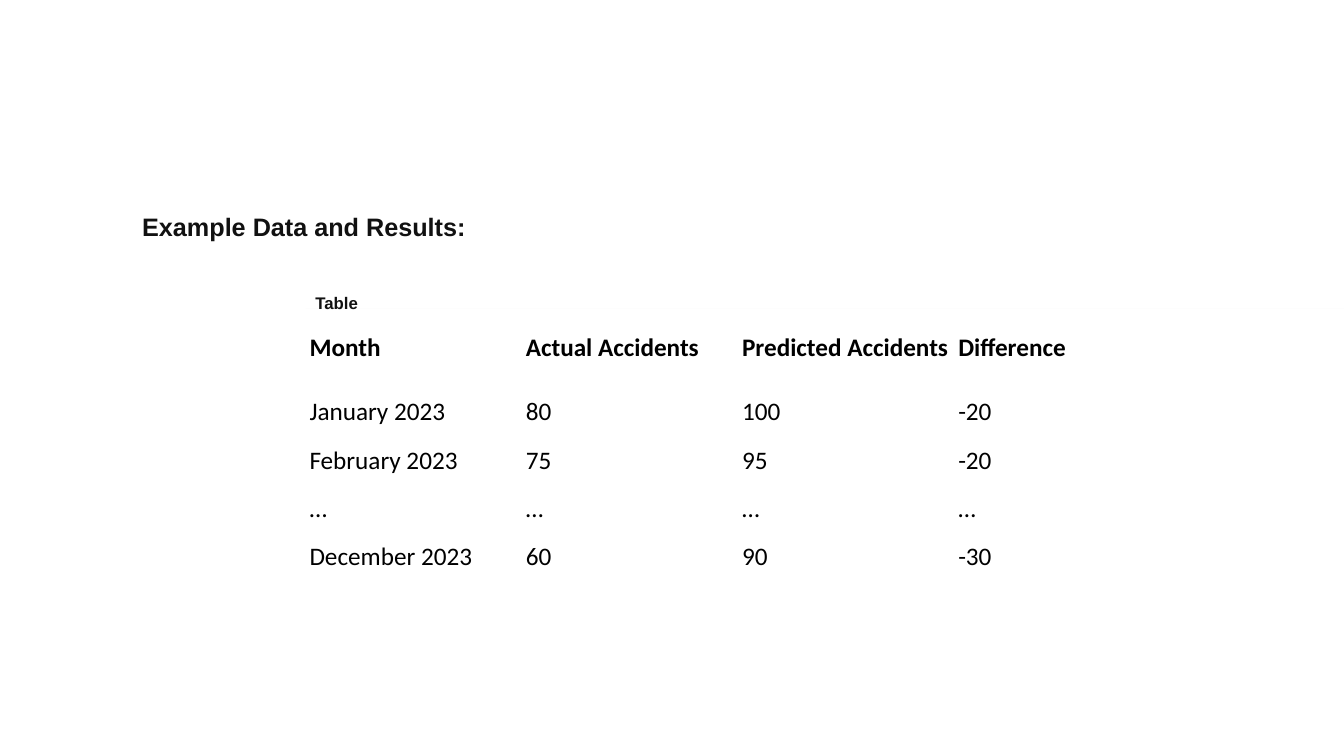
from dataclasses import dataclass

from pptx import Presentation
from pptx.dml.color import RGBColor
from pptx.enum.shapes import MSO_SHAPE
from pptx.enum.text import MSO_ANCHOR, MSO_AUTO_SIZE, PP_ALIGN
from pptx.util import Inches, Pt

MIDDLE, TOP, BOTTOM = MSO_ANCHOR.MIDDLE, MSO_ANCHOR.TOP, MSO_ANCHOR.BOTTOM
LEFT = PP_ALIGN.LEFT
NO_FIT = MSO_AUTO_SIZE.NONE
RECTANGLE = MSO_SHAPE.RECTANGLE
TITLE_ONLY = 5


@dataclass(frozen=True)
class Theme:
    """Colours, fonts and type sizes of the slide."""
    ink: str = "111111"
    table_ink: str = "000000"
    caption_fill: str = "F7F7F7"
    head_font: str = "Arial"
    body_font: str = "Calibri"
    size: int = 18
    caption_size: int = 12


THEME = Theme()
WIDTH, HEIGHT = Inches(13.33), Inches(7.5)
TABLE_LEFT, TABLE_TOP = Inches(3.03), Inches(3.06)
TABLE_WIDTH = Inches(8.58)
HEADER_HEIGHT, ROW_HEIGHT = Inches(0.79), Inches(0.48)
CELL_PAD_X, CELL_PAD_Y = Inches(0.04), Inches(0.08)

ROWS = [
    ("Month", "Actual Accidents", "Predicted Accidents", "Difference"),
    ("January 2023", "80", "100", "-20"),
    ("February 2023", "75", "95", "-20"),
    ("…", "…", "…", "…"),
    ("December 2023", "60", "90", "-30"),
]


def write(tf, text, *, font=THEME.head_font, size=THEME.size,
          color=THEME.ink, bold=True):
    """Put one formatted, left-aligned line into a text frame."""
    p = tf.paragraphs[0]
    p.alignment = LEFT
    r = p.add_run()
    r.text = text
    r.font.name = font
    r.font.size = Pt(size)
    r.font.bold = bold
    r.font.color.rgb = RGBColor.from_string(color)


def set_frame(tf, anchor):
    """Make a text frame keep its size and its single line."""
    tf.word_wrap = False
    tf.auto_size = NO_FIT
    tf.vertical_anchor = anchor


def add_title(s, text):
    """Place and fill the title placeholder."""
    sp = s.shapes.title
    sp.left, sp.top = Inches(1.31), Inches(2.05)
    sp.width, sp.height = Inches(3.44), Inches(0.4)
    set_frame(sp.text_frame, TOP)
    write(sp.text_frame, text)


def add_caption(s, text):
    """Add a flat bar on the table's top edge with the caption above it."""
    sp = s.shapes.add_shape(RECTANGLE, TABLE_LEFT, TABLE_TOP, WIDTH, 0)
    sp.shadow.inherit = False
    sp.fill.solid()
    sp.fill.fore_color.rgb = RGBColor.from_string(THEME.caption_fill)
    sp.line.fill.background()
    set_frame(sp.text_frame, BOTTOM)
    write(sp.text_frame, text, size=THEME.caption_size)


def add_data_table(s, rows):
    """Add an unfilled table with a bold, taller header row."""
    cols = len(rows[0])
    height = HEADER_HEIGHT + ROW_HEIGHT * (len(rows) - 1)
    table = s.shapes.add_table(len(rows), cols, TABLE_LEFT, TABLE_TOP,
                               TABLE_WIDTH, height).table
    table.first_row = table.horz_banding = False
    for i, values in enumerate(rows):
        table.rows[i].height = ROW_HEIGHT if i else HEADER_HEIGHT
        for j, value in enumerate(values):
            cell = table.cell(i, j)
            cell.fill.background()
            cell.vertical_anchor = MIDDLE
            cell.margin_left = cell.margin_right = CELL_PAD_X
            cell.margin_top = cell.margin_bottom = CELL_PAD_Y
            write(cell.text_frame, value, font=THEME.body_font,
                  color=THEME.table_ink, bold=i == 0)


def main():
    """Build and save the slide."""
    prs = Presentation()
    prs.slide_width, prs.slide_height = WIDTH, HEIGHT
    s = prs.slides.add_slide(prs.slide_layouts[TITLE_ONLY])
    add_data_table(s, ROWS)
    add_caption(s, "Table")
    add_title(s, "Example Data and Results:")
    prs.save("out.pptx")


if __name__ == "__main__":
    main()
